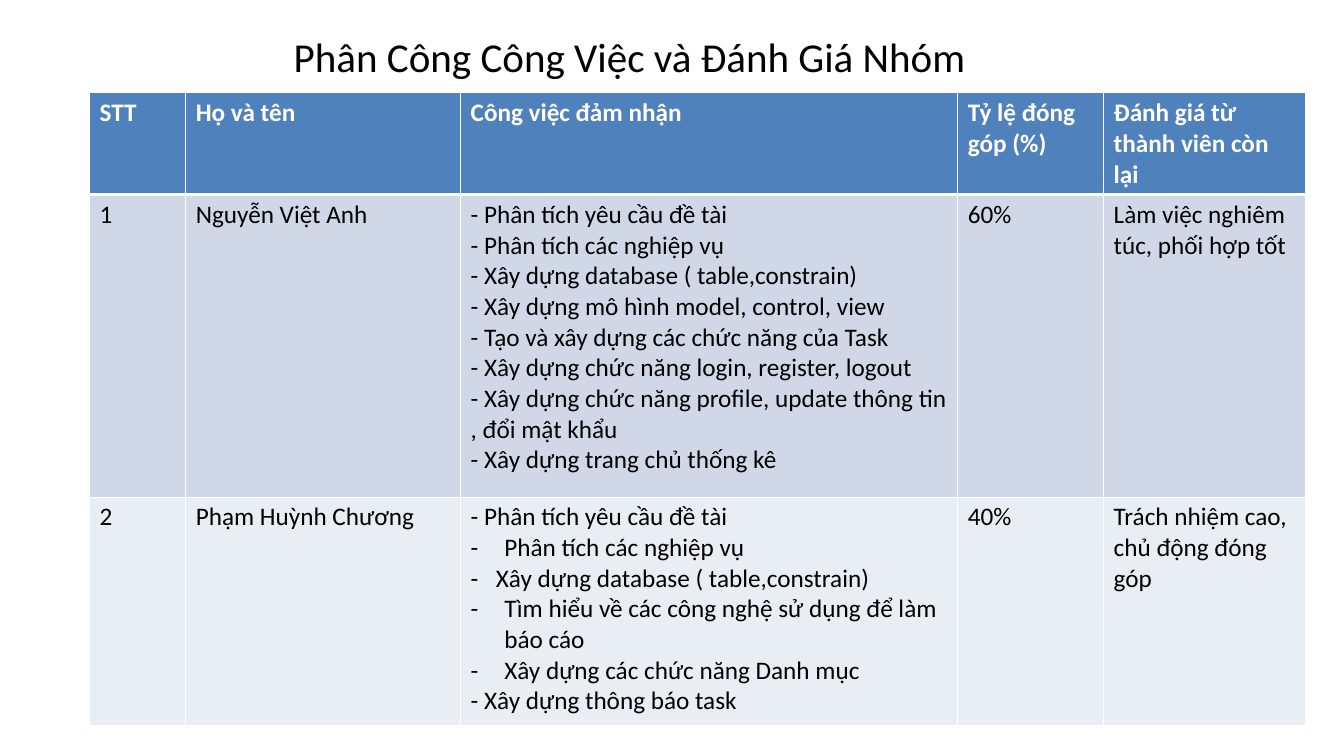
from pptx import Presentation
from pptx.util import Pt
from pptx.dml.color import RGBColor as Rgb
from pptx.enum.text import PP_ALIGN as Align, MSO_ANCHOR as Anchor, MSO_AUTO_SIZE as Fit
from pptx.oxml.ns import qn
from lxml.etree import SubElement as Sub

HUES = {"head": "4F81BD", "odd": "D0D8E8", "even": "E9EDF4",
        "white": "FFFFFF", "black": "000000"}
FONT = "Calibri"
COLS = [103, 294.5, 532.8, 156.2, 216]
ROWS = [61, 324, 245]

# A task given as (text, indent) gets a hanging dash bullet
TASKS_1 = [
    "- Phân tích yêu cầu đề tài",
    "- Phân tích các nghiệp vụ",
    "- Xây dựng database ( table,constrain)",
    "- Xây dựng mô hình model, control, view",
    "- Tạo và xây dựng các chức năng của Task",
    "- Xây dựng chức năng login, register, logout",
    "- Xây dựng chức năng profile, update thông tin , đổi mật khẩu",
    "- Xây dựng trang chủ thống kê",
]
TASKS_2 = [
    "- Phân tích yêu cầu đề tài",
    ("Phân tích các nghiệp vụ", 36),
    ("Xây dựng database ( table,constrain)", 27),
    ("Tìm hiểu về các công nghệ sử dụng để làm báo cáo", 36),
    ("Xây dựng các chức năng Danh mục", 36),
    "- Xây dựng thông báo task",
]
DATA = [
    ["STT", "Họ và tên", "Công việc đảm nhận", "Tỷ lệ đóng góp (%)",
     "Đánh giá từ thành viên còn lại"],
    ["1", "Nguyễn Việt Anh", TASKS_1, "60%", "Làm việc nghiêm túc, phối hợp tốt"],
    ["2", "Phạm Huỳnh Chương", TASKS_2, "40%", "Trách nhiệm cao, chủ động đóng góp"],
]


def style(para, size, hue, bold=False):
    for run in para.runs:
        font = run.font
        font.name, font.size, font.bold = FONT, Pt(size), bold
        font.color.rgb = Rgb.from_string(HUES[hue])


def add_dash(para, indent):
    props = para._p.get_or_add_pPr()
    props.set("marL", str(Pt(indent)))
    props.set("indent", str(-Pt(indent)))
    Sub(props, qn("a:buFont"), typeface=FONT)
    Sub(props, qn("a:buChar"), char="-")


def add_edges(cell, top, bottom):
    props = cell._tc.get_or_add_tcPr()
    for side, width in zip("LRTB", (1, 1, top, bottom)):
        line = Sub(props, qn(f"a:ln{side}"), w=str(Pt(width)))
        fill = Sub(line, qn("a:solidFill"))
        Sub(fill, qn("a:srgbClr"), val=HUES["white"])


def fill_cell(cell, items, row):
    is_head = row == 0
    add_edges(cell, 3 if row == 1 else 1, 3 if is_head else 1)
    cell.fill.solid()
    cell.fill.fore_color.rgb = Rgb.from_string(HUES[("head", "odd", "even")[row]])
    cell.margin_left = cell.margin_right = Pt(10.8)
    cell.margin_top = cell.margin_bottom = Pt(5.2)

    frame = cell.text_frame
    items = [items] if isinstance(items, str) else items
    pairs = [(item, 0) if isinstance(item, str) else item for item in items]
    frame.text = "\n".join(text for text, _ in pairs)
    for para, (_, indent) in zip(frame.paragraphs, pairs):
        if indent:
            add_dash(para, indent)
        style(para, 27, "white" if is_head else "black", is_head)


def set_title(slide, text):
    title = slide.shapes.title
    title.left, title.top = Pt(282), Pt(15)
    title.width, title.height = Pt(786), Pt(90)
    frame = title.text_frame
    frame.text = text
    frame.auto_size = Fit.NONE
    frame.vertical_anchor = Anchor.MIDDLE
    para = frame.paragraphs[0]
    para.alignment = Align.CENTER
    style(para, 44, "black")


def add_grid(slide):
    frame = slide.shapes.add_table(len(ROWS), len(COLS), Pt(96), Pt(99.5),
                                   Pt(sum(COLS)), Pt(sum(ROWS)))
    table = frame.table
    for col, width in zip(table.columns, COLS):
        col.width = Pt(width)
    for row, height in zip(table.rows, ROWS):
        row.height = Pt(height)
    for r, line in enumerate(DATA):
        for c, items in enumerate(line):
            fill_cell(table.cell(r, c), items, r)


def main():
    prs = Presentation()
    prs.slide_width, prs.slide_height = Pt(1440), Pt(810)
    slide = prs.slides.add_slide(prs.slide_layouts[5])

    # Heading
    set_title(slide, "Phân Công Công Việc và Đánh Giá Nhóm")
    # Work shares and reviews
    add_grid(slide)

    prs.save("out.pptx")


if __name__ == "__main__":
    main()
